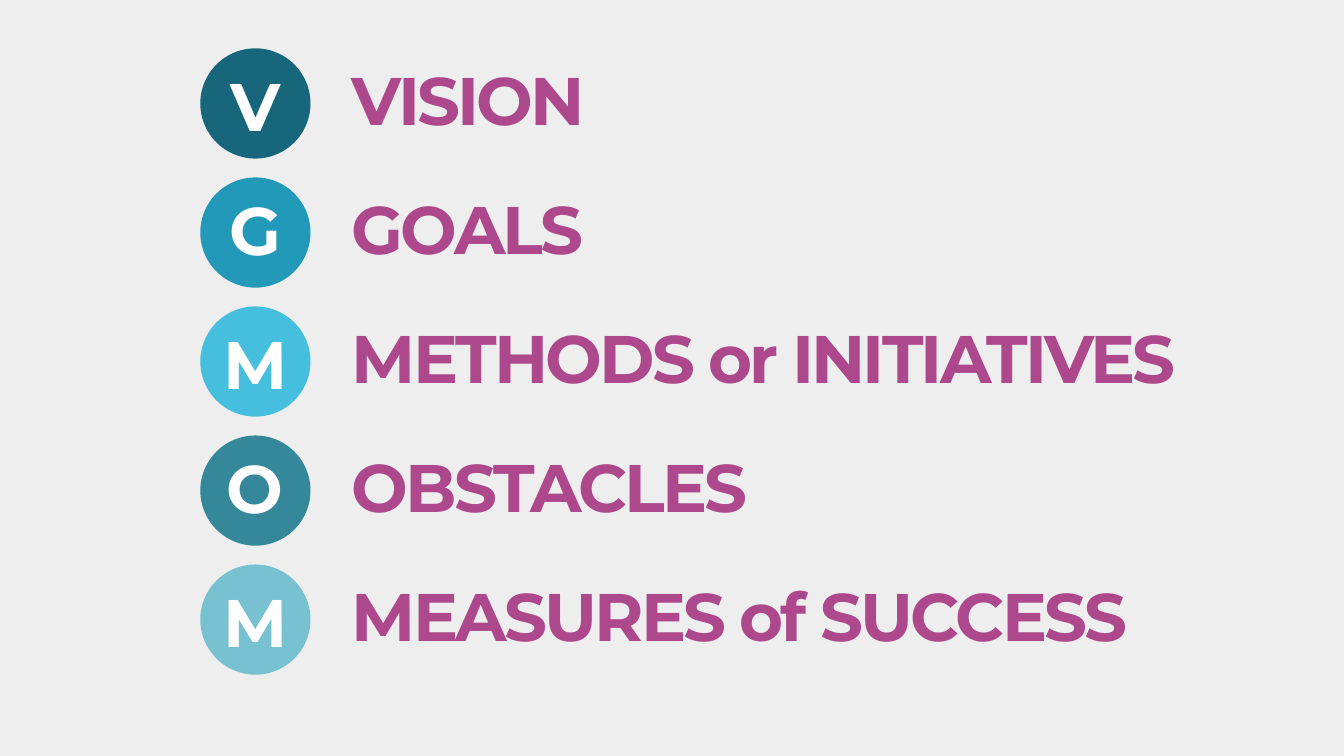
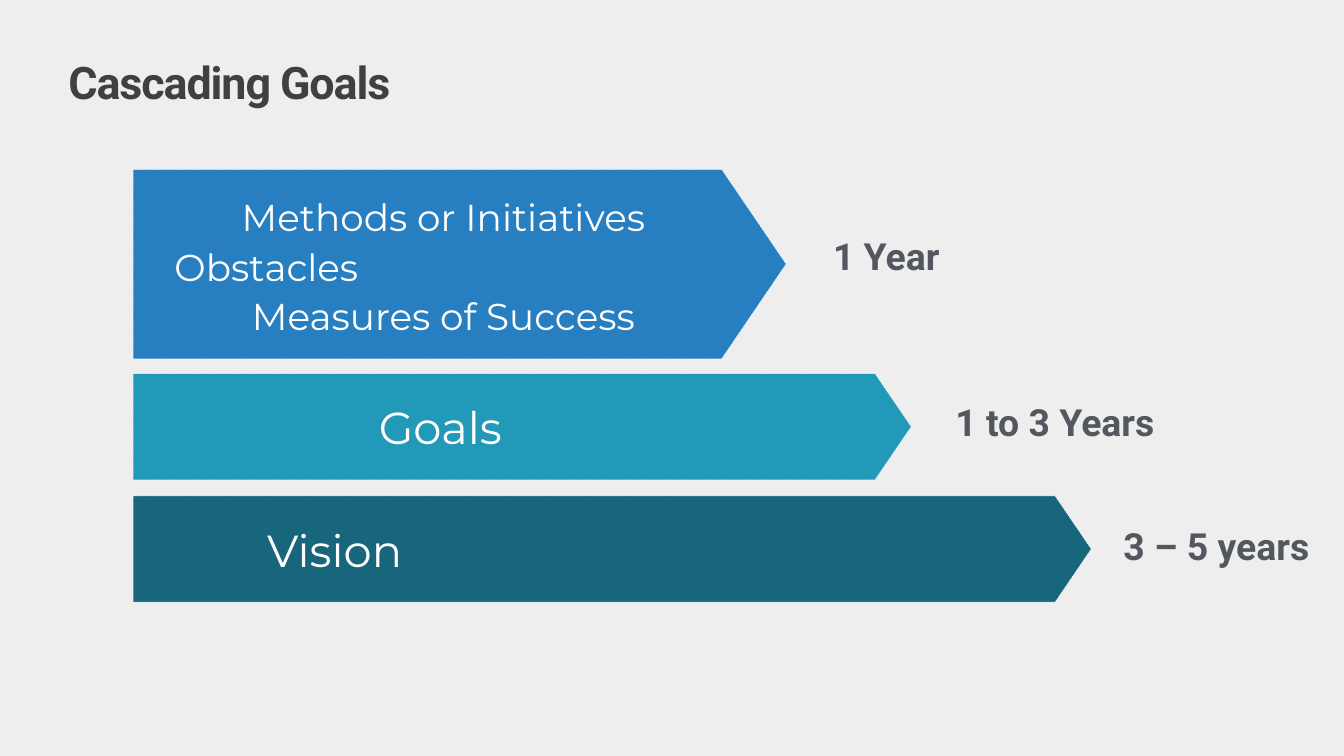
from pptx import Presentation
from pptx.dml.color import RGBColor
from pptx.enum.dml import MSO_LINE
from pptx.enum.shapes import MSO_SHAPE
from pptx.enum.text import MSO_ANCHOR, PP_ALIGN
from pptx.util import Inches, Pt

ELLIPSE, PENTAGON = MSO_SHAPE.OVAL, MSO_SHAPE.PENTAGON
LEFT, CENTER = PP_ALIGN.LEFT, PP_ALIGN.CENTER
TOP, MIDDLE = MSO_ANCHOR.TOP, MSO_ANCHOR.MIDDLE
SHORT_DASH = MSO_LINE.SQUARE_DOT

PAPER = RGBColor(0xEE, 0xEE, 0xEE)
WHITE = RGBColor(0xFF, 0xFF, 0xFF)
ORCHID = RGBColor(0xAD, 0x48, 0x8D)
CHARCOAL = RGBColor(0x40, 0x40, 0x40)
SLATE = RGBColor(0x53, 0x58, 0x5F)
PETROL = RGBColor(0x17, 0x66, 0x7B)
TEAL = RGBColor(0x22, 0x99, 0xB8)
SKY = RGBColor(0x46, 0xBE, 0xDD)
SEA = RGBColor(0x35, 0x88, 0x99)
MIST = RGBColor(0x78, 0xC1, 0xD0)
BLUE = RGBColor(0x27, 0x7F, 0xC1)
HEADING_FONT, BODY_FONT = "Montserrat", "Roboto"


def write_text(shape, lines, *, size, color, font=BODY_FONT, bold=False,
               align=LEFT, anchor=TOP, leading=0.9, tracking=0):
    frame = shape.text_frame
    frame.word_wrap = True
    frame.vertical_anchor = anchor
    for number, (text, indent) in enumerate(lines):
        paragraph = frame.add_paragraph() if number else frame.paragraphs[0]
        paragraph.alignment = LEFT if indent else align
        paragraph.line_spacing = leading
        if indent:
            paragraph._p.get_or_add_pPr().set("marL", str(Inches(indent)))
        run = paragraph.add_run()
        run.text = text
        run.font.name = font
        run.font.size = Pt(size)
        run.font.bold = bold
        run.font.color.rgb = color
        if tracking:
            run._r.get_or_add_rPr().set("spc", str(round(tracking * 100)))


def box(left, top, width, height):
    return [Inches(value) for value in (left, top, width, height)]


deck = Presentation()
deck.slide_width, deck.slide_height = Inches(10), Inches(10) * 9 // 16
summary, cascade = [deck.slides.add_slide(deck.slide_layouts[6]) for _ in range(2)]
for slide in (summary, cascade):
    slide.background.fill.solid()
    slide.background.fill.fore_color.rgb = PAPER

ROW_TOP, ROW_PITCH, DISC = 0.36, 0.96, 0.82
steps = [
    ("VISION", PETROL, 0.14),
    ("GOALS", TEAL, 0.1),
    ("METHODS or INITIATIVES", SKY, 0.14),
    ("OBSTACLES", SEA, 0.1),
    ("MEASURES of SUCCESS", MIST, 0.14),
]
for row, (step, disc_color, letter_drop) in enumerate(steps):
    top = ROW_TOP + row * ROW_PITCH
    disc = summary.shapes.add_shape(ELLIPSE, *box(1.49, top, DISC, DISC))
    disc.shadow.inherit = False
    disc.line.fill.background()
    disc.fill.solid()
    disc.fill.fore_color.rgb = disc_color
    initial = summary.shapes.add_textbox(*box(1.46, top + letter_drop, 0.88, 0.65))
    write_text(initial, [(step[0], 0)], size=36, color=WHITE, font=HEADING_FONT,
               bold=True, align=CENTER)
    label = summary.shapes.add_textbox(*box(2.52, top + 0.09, 6.4, 0.66))
    write_text(label, [(step, 0)], size=36, color=ORCHID, font=HEADING_FONT,
               bold=True, tracking=-1.5)

title = cascade.shapes.add_textbox(*box(0.41, 0.4, 9.18, 0.52))
write_text(title, [("Cascading Goals", 0)], size=24, color=CHARCOAL, bold=True,
           tracking=-0.6)

ARROW_LEFT = 0.99
horizons = [
    ([("Methods or Initiatives", 0), ("Obstacles", 0.21), ("Measures of Success", 0)],
     BLUE, 1.26, 4.86, 1.41, 20, 1.1, "1 Year", 6.1, 1.72),
    ([("Goals", 1.73)], TEAL, 2.78, 5.79, 0.79, 24, 1.0, "1 to 3 Years", 7.01, 2.96),
    ([("Vision", 0.9)], PETROL, 3.69, 7.13, 0.79, 24, 1.0, "3 – 5 years", 8.26, 3.88),
]
for (lines, arrow_color, top, width, height, size, leading,
     period, period_left, period_top) in horizons:
    arrow = cascade.shapes.add_shape(PENTAGON, *box(ARROW_LEFT, top, width, height))
    arrow.adjustments[0] = 0.34
    arrow.shadow.inherit = False
    arrow.fill.solid()
    arrow.fill.fore_color.rgb = arrow_color
    arrow.line.color.rgb = WHITE
    arrow.line.width = Pt(0.25)
    arrow.line.dash_style = SHORT_DASH
    write_text(arrow, lines, size=size, color=WHITE, font=HEADING_FONT,
               align=CENTER, anchor=MIDDLE, leading=leading)
    duration = cascade.shapes.add_textbox(*box(period_left, period_top, 1.74, 0.41))
    write_text(duration, [(period, 0)], size=20, color=SLATE, bold=True)

deck.save("out.pptx")
